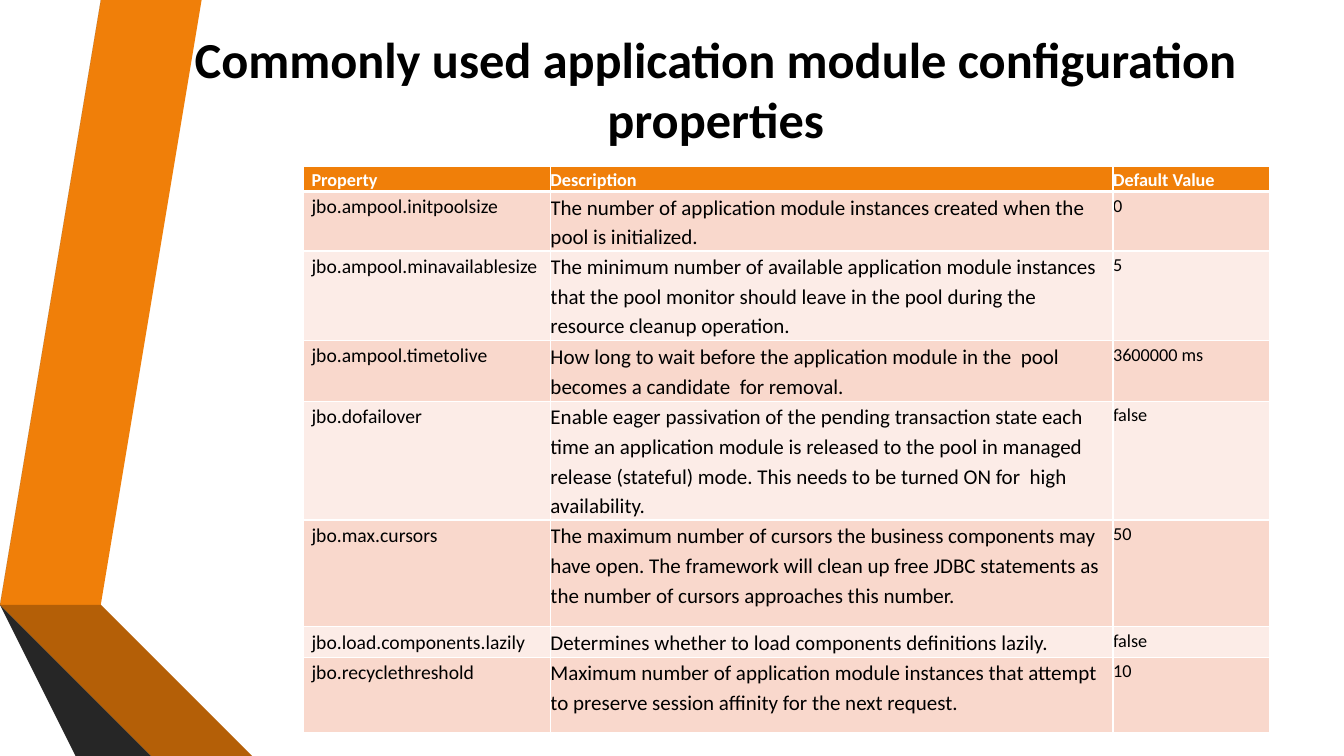
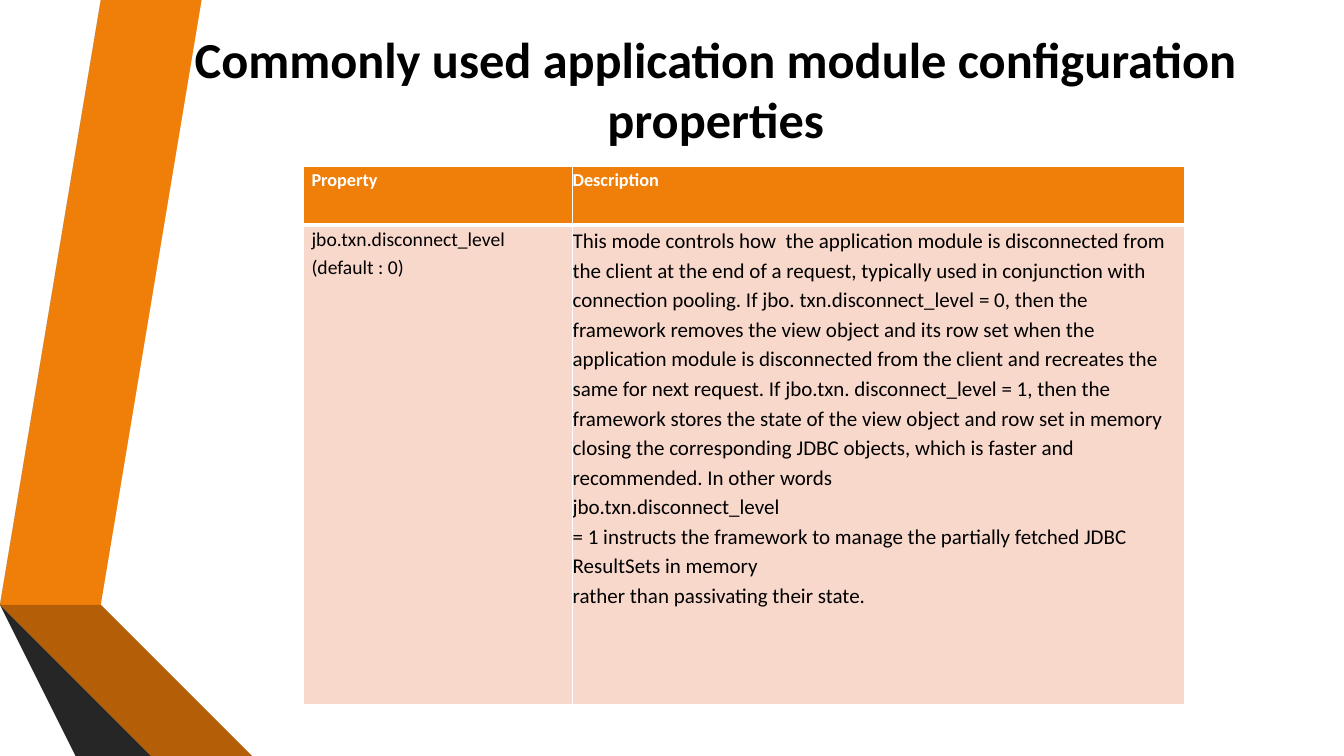
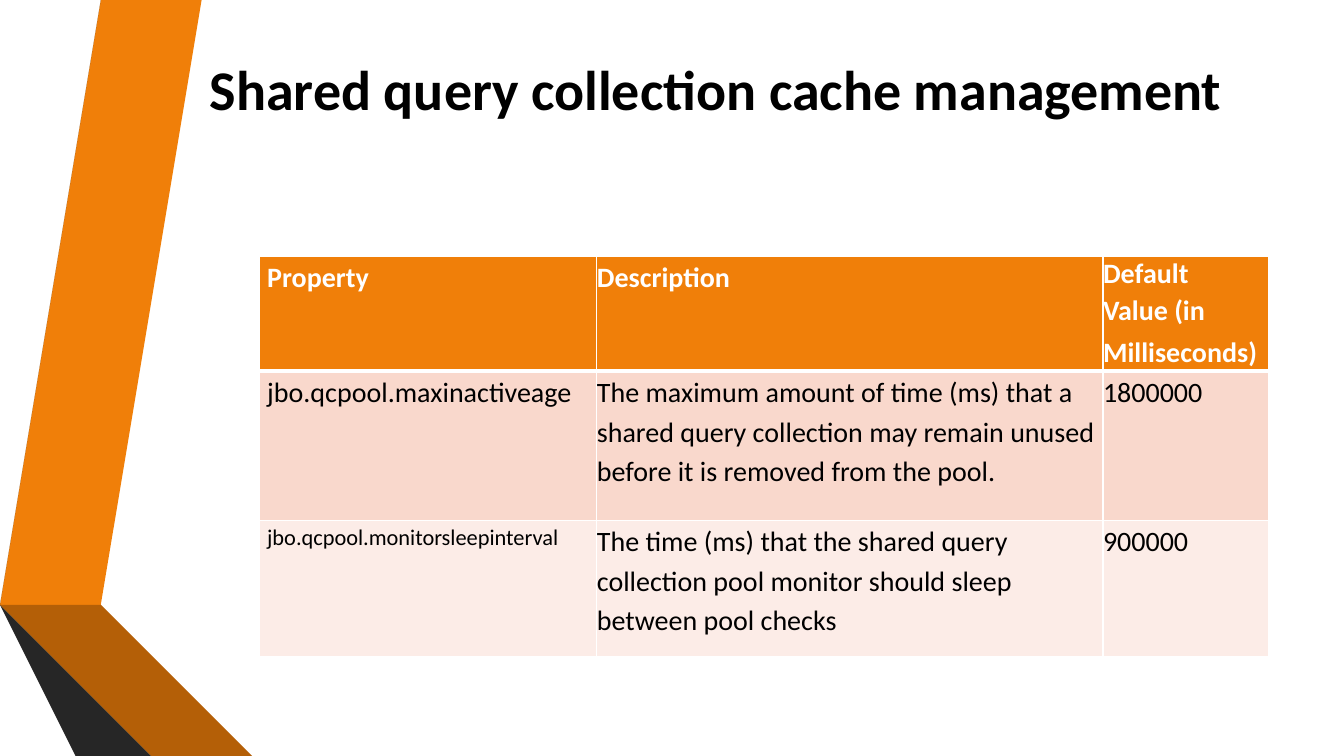
from lxml.etree import SubElement
from pptx import Presentation
from pptx.dml.color import RGBColor
from pptx.enum.text import MSO_ANCHOR, PP_ALIGN
from pptx.oxml.ns import qn
from pptx.util import Inches, Pt

FONT = "Calibri"
BLACK = RGBColor(0x00, 0x00, 0x00)
WHITE = RGBColor(0xFF, 0xFF, 0xFF)
ORANGE = RGBColor(0xF0, 0x7F, 0x09)
DARK_ORANGE = RGBColor(0xB4, 0x5F, 0x07)
BROWN = RGBColor(0x78, 0x40, 0x04)
GREY = RGBColor(0x59, 0x59, 0x59)
DARK_GREY = RGBColor(0x40, 0x40, 0x40)
CHARCOAL = RGBColor(0x26, 0x26, 0x26)
ROW_FILLS = (RGBColor(0xF9, 0xD8, 0xCC), RGBColor(0xFC, 0xEC, 0xE7))

RIBBONS = (
    (ORANGE, ((0.5, 5.78), (0.77, 5.83), (1.73, 0), (1.45, 0))),
    (GREY, ((1.39, 0), (1.11, 0), (0.16, 5.73), (0.44, 5.77))),
    (CHARCOAL, ((0.16, 5.73), (1.45, 7.5), (1.51, 7.5))),
    (BROWN, ((0.5, 5.79), (2.08, 7.5), (2.14, 7.5))),
    (DARK_ORANGE, ((0.5, 5.79), (2.14, 7.5), (2.83, 7.5), (0.77, 5.83), (0.5, 5.78))),
    (DARK_GREY, ((2.02, 7.5), (0.48, 5.83), (0.43, 5.78), (0.44, 5.77),
                 (0.16, 5.73), (1.51, 7.5))),
)
TITLE_BOX = (1.62, 0.36, 10.96, 1.03)

CONFIGURATION_TITLE = "Commonly used application module configuration properties"
POOL_ROWS = (
    ("Property", "Description", "Default Value"),
    ("jbo.ampool.initpoolsize",
     "The number of application module instances created when the pool is initialized.",
     "0"),
    ("jbo.ampool.minavailablesize",
     "The minimum number of available application module instances that the pool monitor "
     "should leave in the pool during the resource cleanup operation.",
     "5"),
    ("jbo.ampool.timetolive",
     "How long to wait before the application module in the  pool becomes a candidate  "
     "for removal.",
     "3600000 ms"),
    ("jbo.dofailover",
     "Enable eager passivation of the pending transaction state each time an application "
     "module is released to the pool in managed release (stateful) mode. This needs to be "
     "turned ON for  high availability.",
     "false"),
    ("jbo.max.cursors",
     "The maximum number of cursors the business components may have open. The framework "
     "will clean up free JDBC statements as the number of cursors approaches this number.",
     "50"),
    ("jbo.load.components.lazily",
     "Determines whether to load components definitions lazily.",
     "false"),
    ("jbo.recyclethreshold",
     "Maximum number of application module instances that attempt to preserve session "
     "affinity for the next request.",
     "10"),
)
DISCONNECT_ROWS = (
    ("Property", "Description"),
    ("jbo.txn.disconnect_level (default : 0)",
     "This mode controls how  the application module is disconnected from the client at the "
     "end of a request, typically used in conjunction with connection pooling. If jbo. "
     "txn.disconnect_level = 0, then the framework removes the view object and its row set "
     "when the application module is disconnected from the client and recreates the same for "
     "next request. If jbo.txn. disconnect_level = 1, then the framework stores the state of "
     "the view object and row set in memory closing the corresponding JDBC objects, which is "
     "faster and\n"
     "recommended. In other words\n"
     "jbo.txn.disconnect_level\n"
     "= 1 instructs the framework to manage the partially fetched JDBC ResultSets in memory\n"
     "rather than passivating their state."),
)
CACHE_ROWS = (
    ("Property", "Description", "Default\nValue (in\nMilliseconds)"),
    ("jbo.qcpool.maxinactiveage",
     "The maximum amount of time (ms) that a shared query collection may remain unused "
     "before it is removed from the pool.",
     "1800000"),
    ("jbo.qcpool.monitorsleepinterval",
     "The time (ms) that the shared query collection pool monitor should sleep between pool "
     "checks",
     "900000"),
)


def style_font(font, size, color, bold):
    font.name = FONT
    font.size = Pt(size)
    font.color.rgb = color
    font.bold = bold


def add_ribbons(page):
    for color, points in RIBBONS:
        builder = page.shapes.build_freeform(*points[0], scale=Inches(1))
        builder.add_line_segments(points[1:], close=True)
        ribbon = builder.convert_to_shape()
        ribbon.shadow.inherit = False
        ribbon.fill.solid()
        ribbon.fill.fore_color.rgb = color
        ribbon.line.fill.background()


def add_title(page, text, size):
    frame = page.shapes.add_textbox(*map(Inches, TITLE_BOX)).text_frame
    frame.word_wrap = True
    frame.vertical_anchor = MSO_ANCHOR.MIDDLE
    frame.text = text
    para = frame.paragraphs[0]
    para.alignment = PP_ALIGN.CENTER
    style_font(para.runs[0].font, size, BLACK, True)


def add_borders(cell, top, bottom):
    properties = cell._tc.get_or_add_tcPr()
    for side, width in (("L", 1), ("R", 1), ("T", top), ("B", bottom)):
        line = SubElement(properties, qn(f"a:ln{side}"), w=str(Pt(width)))
        fill = SubElement(line, qn("a:solidFill"))
        SubElement(fill, qn("a:srgbClr"), val=str(WHITE))


def fill_cell(cell, text, size, header):
    cell.text_frame.text = text
    *upper, last = cell.text_frame.paragraphs
    for para in (*upper, last):
        para.line_spacing = 1.15
        style_font(para.runs[0].font, size, WHITE if header else BLACK, header)
    if header:
        for para in upper:
            para.line_spacing = 1.03
            para.space_after = Pt(1.4)


def add_property_table(page, left, top, widths, heights, rows, header_size, body_sizes,
                       right_margin):
    frame = page.shapes.add_table(len(rows), len(widths), Inches(left), Inches(top),
                                  Inches(sum(widths)), Inches(sum(heights)))
    table = frame.table
    for column, width in zip(table.columns, widths):
        column.width = Inches(width)
    sizes = [(header_size,) * len(widths), *body_sizes]
    for r, (texts, height) in enumerate(zip(rows, heights)):
        table.rows[r].height = Inches(height)
        for c, text in enumerate(texts):
            cell = table.cell(r, c)
            cell.margin_left = Inches(0 if c else 0.08)
            cell.margin_right = Inches(right_margin)
            cell.margin_top = cell.margin_bottom = 0
            add_borders(cell, 3 if r == 1 else 1, 3 if r == 0 else 1)
            cell.fill.solid()
            cell.fill.fore_color.rgb = ROW_FILLS[(r - 1) % 2] if r else ORANGE
            fill_cell(cell, text, sizes[r][c], r == 0)


def add_page(deck, title, title_size, **table):
    page = deck.slides.add_slide(deck.slide_layouts[6])
    add_ribbons(page)
    add_title(page, title, title_size)
    add_property_table(page, **table)


def main():
    deck = Presentation()
    deck.slide_width = Inches(13.33)
    deck.slide_height = Inches(7.5)
    add_page(deck, CONFIGURATION_TITLE, 36, left=3.01, top=1.65,
             widths=(2.45, 5.58, 1.55),
             heights=(0.24, 0.59, 0.89, 0.6, 1.18, 1.06, 0.3, 0.75),
             rows=POOL_ROWS, header_size=13, body_sizes=[(14, 15, 13)] * 7,
             right_margin=0.04)
    add_page(deck, CONFIGURATION_TITLE, 36, left=3.01, top=1.65,
             widths=(2.67, 6.07), heights=(0.58, 4.76),
             rows=DISCONNECT_ROWS, header_size=13, body_sizes=[(14, 15)],
             right_margin=0.04)
    add_page(deck, "Shared query collection cache management", 40, left=2.57, top=2.54,
             widths=(3.35, 5.02, 1.64), heights=(1.14, 1.48, 1.35),
             rows=CACHE_ROWS, header_size=20, body_sizes=[(20, 20, 20), (16, 20, 20)],
             right_margin=0.08)
    deck.save("out.pptx")


if __name__ == "__main__":
    main()
